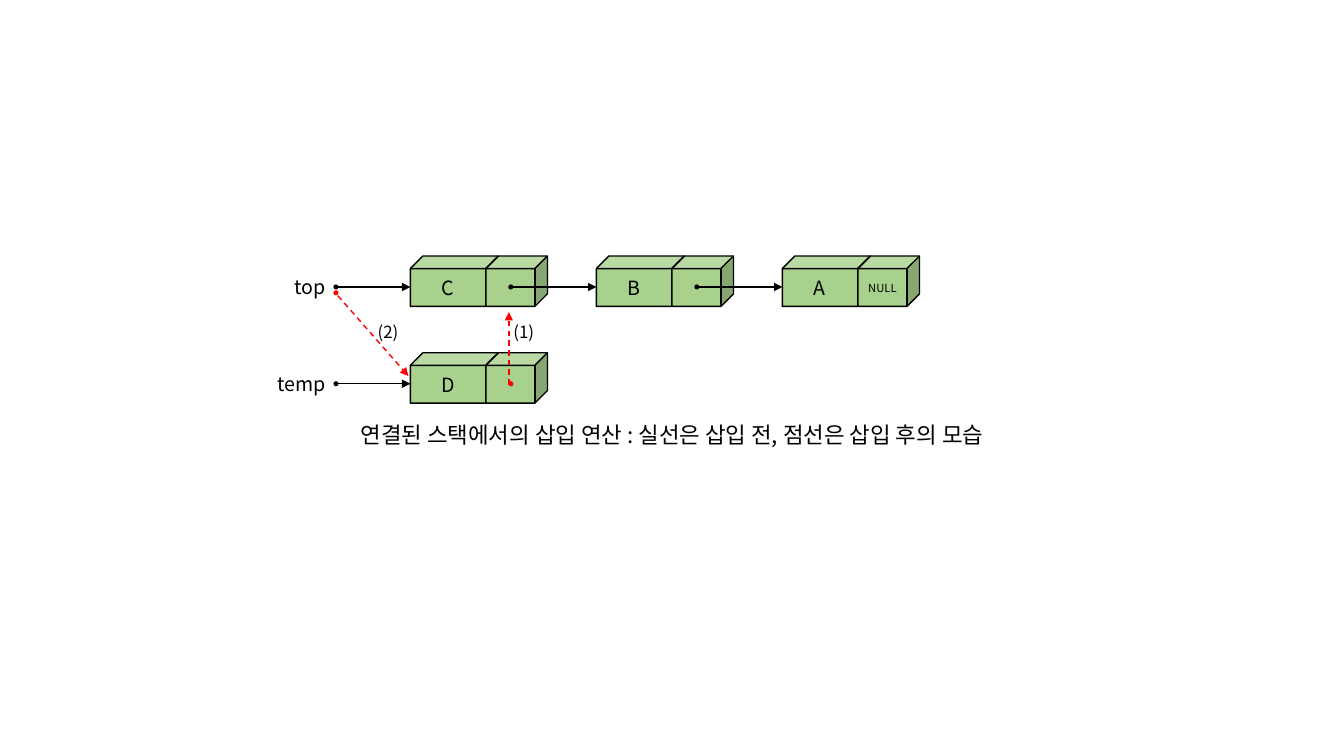
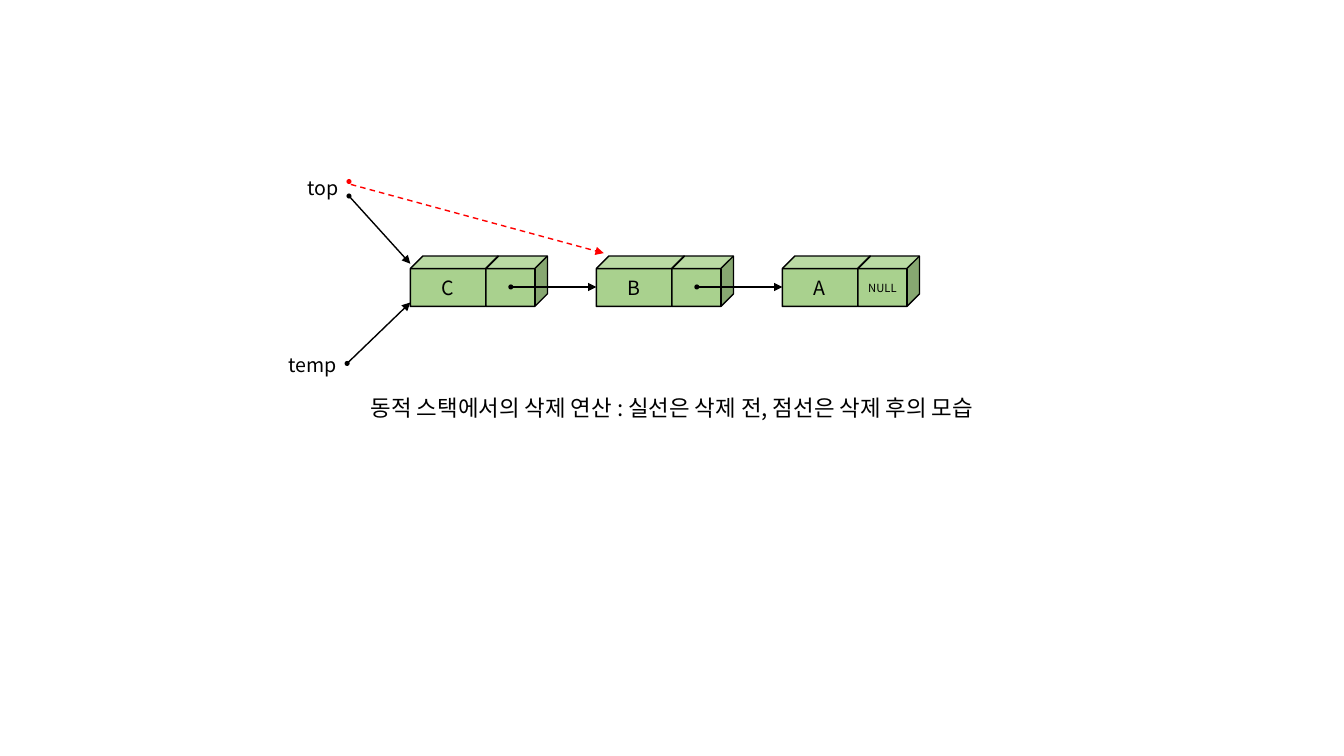
from dataclasses import dataclass

from lxml import etree
from pptx import Presentation, util as u
from pptx.dml.color import RGBColor
from pptx.enum import dml, shapes, text
from pptx.oxml import ns


# Theme
@dataclass(frozen=True)
class Theme:
    font: str = "Noto Sans CJK KR"
    ink: str = "000000"
    change: str = "FF0000"
    node: str = "A9D18E"
    caption_size: int = 16
    label_size: int = 14
    step_size: int = 12
    null_size: int = 8
    line_width: int = 1


THEME = Theme()

# Grid: each node starts at a whole column and row
WIDTH, HEIGHT = 13.33, 7.5
LEFT, TOP = 4.07, 2.54
COLUMN, ROW = 3.69 / 2, 0.96
PORT_COLUMN, MIDDLE_ROW = 0.54, 0.32
CELL_HEIGHT, DATA_WIDTH, LINK_OFFSET, LINK_WIDTH = 0.5, 0.87, 0.75, 0.61
DOT, LABEL_WIDTH, STEP_WIDTH = 0.05, 0.87, 0.51


def color(value):
    return RGBColor.from_string(value)


def grid(column, row):
    return LEFT + column * COLUMN, TOP + row * ROW


def inches(*values):
    return [u.Inches(value) for value in values]


def write(frame, words, size=THEME.label_size, align=text.PP_ALIGN.CENTER,
          anchor=text.MSO_ANCHOR.TOP, fit=text.MSO_AUTO_SIZE.SHAPE_TO_FIT_TEXT,
          inset=(0.1, 0.05)):
    frame.word_wrap = True
    frame.auto_size = fit
    frame.vertical_anchor = anchor
    frame.margin_left = frame.margin_right = u.Inches(inset[0])
    frame.margin_top = frame.margin_bottom = u.Inches(inset[1])
    para = frame.paragraphs[0]
    para.alignment = align
    span = para.add_run()
    span.text = words
    span.font.name = THEME.font
    span.font.size = u.Pt(size)
    span.font.color.rgb = color(THEME.ink)
    east_asian = etree.SubElement(span.font._element, ns.qn("a:ea"))
    east_asian.set("typeface", THEME.font)


class Diagram:
    def __init__(self, deck):
        self.deck = deck
        self.page = None

    def start(self, caption, top):
        """Add a slide with its title set as a caption below the diagram."""
        self.page = self.deck.slides.add_slide(self.deck.slide_layouts[5])
        box = self.page.shapes.title
        box.left, box.top, box.width, box.height = inches(
            0.18 * WIDTH, top * HEIGHT, 0.64 * WIDTH, 0.05 * HEIGHT)
        write(box.text_frame, caption, THEME.caption_size)

    def shape(self, kind, at, fill, outlined=False):
        box = self.page.shapes.add_shape(kind, *inches(*at))
        box.shadow.inherit = False
        box.fill.solid()
        box.fill.fore_color.rgb = color(fill)
        if outlined:
            box.line.color.rgb = color(THEME.ink)
            box.line.width = u.Pt(THEME.line_width)
        else:
            box.line.fill.background()
        return box

    def node(self, name, column, row=0, link=""):
        left, top = grid(column, row)
        cells = [(left, DATA_WIDTH, name, THEME.label_size),
                 (left + LINK_OFFSET, LINK_WIDTH, link, THEME.null_size)]
        for cell_left, width, words, size in cells:
            box = self.shape(shapes.MSO_SHAPE.CUBE,
                             (cell_left, top, width, CELL_HEIGHT), THEME.node, True)
            if words:
                write(box.text_frame, words, size, anchor=text.MSO_ANCHOR.MIDDLE,
                      fit=text.MSO_AUTO_SIZE.NONE, inset=(0, 0))

    def dot(self, column, row, ink=THEME.ink):
        x, y = grid(column, row)
        self.shape(shapes.MSO_SHAPE.OVAL, (x - DOT / 2, y - DOT / 2, DOT, DOT), ink)

    def arrow(self, start, end, changed=False):
        line = self.page.shapes.add_connector(
            shapes.MSO_CONNECTOR.STRAIGHT, *inches(*grid(*start), *grid(*end)))
        line.line.color.rgb = color(THEME.change if changed else THEME.ink)
        line.line.width = u.Pt(THEME.line_width)
        if changed:
            line.line.dash_style = dml.MSO_LINE.DASH
        outline = line.line._get_or_add_ln()
        etree.SubElement(outline, ns.qn("a:tailEnd")).set("type", "triangle")
        etree.SubElement(outline.getparent(), ns.qn("a:effectLst"))

    def textbox(self, words, left, middle, width, size, align):
        height = size * 0.024
        box = self.page.shapes.add_textbox(
            *inches(left, middle - height / 2, width, height))
        write(box.text_frame, words, size, align)

    def label(self, words, column, row):
        """Name a pointer; the text ends just before its dot."""
        x, y = grid(column, row)
        self.textbox(words, x - LABEL_WIDTH, y, LABEL_WIDTH,
                     THEME.label_size, text.PP_ALIGN.RIGHT)

    def step(self, words, column, row):
        x, y = grid(column, row)
        self.textbox(words, x - STEP_WIDTH / 2, y, STEP_WIDTH,
                     THEME.step_size, text.PP_ALIGN.CENTER)

    def stack(self):
        """Draw the chain C, B, A with its links."""
        for column, name in enumerate("CBA"):
            self.node(name, column, link="NULL" if name == "A" else "")
        for column in range(2):
            port = (column + PORT_COLUMN, MIDDLE_ROW)
            self.arrow(port, (column + 1, MIDDLE_ROW))
            self.dot(*port)


deck = Presentation()
deck.slide_width, deck.slide_height = inches(WIDTH, HEIGHT)
diagram = Diagram(deck)

# Insertion
diagram.start("연결된 스택에서의 삽입 연산 : 실선은 삽입 전, 점선은 삽입 후의 모습", 0.55)
diagram.stack()
diagram.node("D", 0, 1)
for row, pointer in enumerate(("top", "temp")):
    source = (-0.4, row + MIDDLE_ROW)
    diagram.label(pointer, *source)
    diagram.arrow(source, (0, row + MIDDLE_ROW))
    diagram.dot(*source)
diagram.dot(-0.4, 0.38, THEME.change)
diagram.dot(PORT_COLUMN, 1 + MIDDLE_ROW, THEME.change)
diagram.arrow((-0.39, 0.41), (-0.01, 1.24), changed=True)
diagram.arrow((0.53, 1.33), (0.53, 0.58), changed=True)
diagram.step("(2)", -0.12, 0.78)
diagram.step("(1)", 0.61, 0.78)

# Deletion
diagram.start("동적 스택에서의 삭제 연산 : 실선은 삭제 전, 점선은 삭제 후의 모습", 0.515)
diagram.stack()
diagram.label("top", -0.33, -0.7)
diagram.label("temp", -0.34, 1.12)
for source, target in (((-0.33, -0.62), (0, 0.08)), ((-0.34, 1.11), (0, 0.48))):
    diagram.arrow(source, target)
    diagram.dot(*source)
diagram.dot(-0.33, -0.77, THEME.change)
diagram.arrow((-0.32, -0.74), (1.04, -0.03), changed=True)

deck.save("out.pptx")
